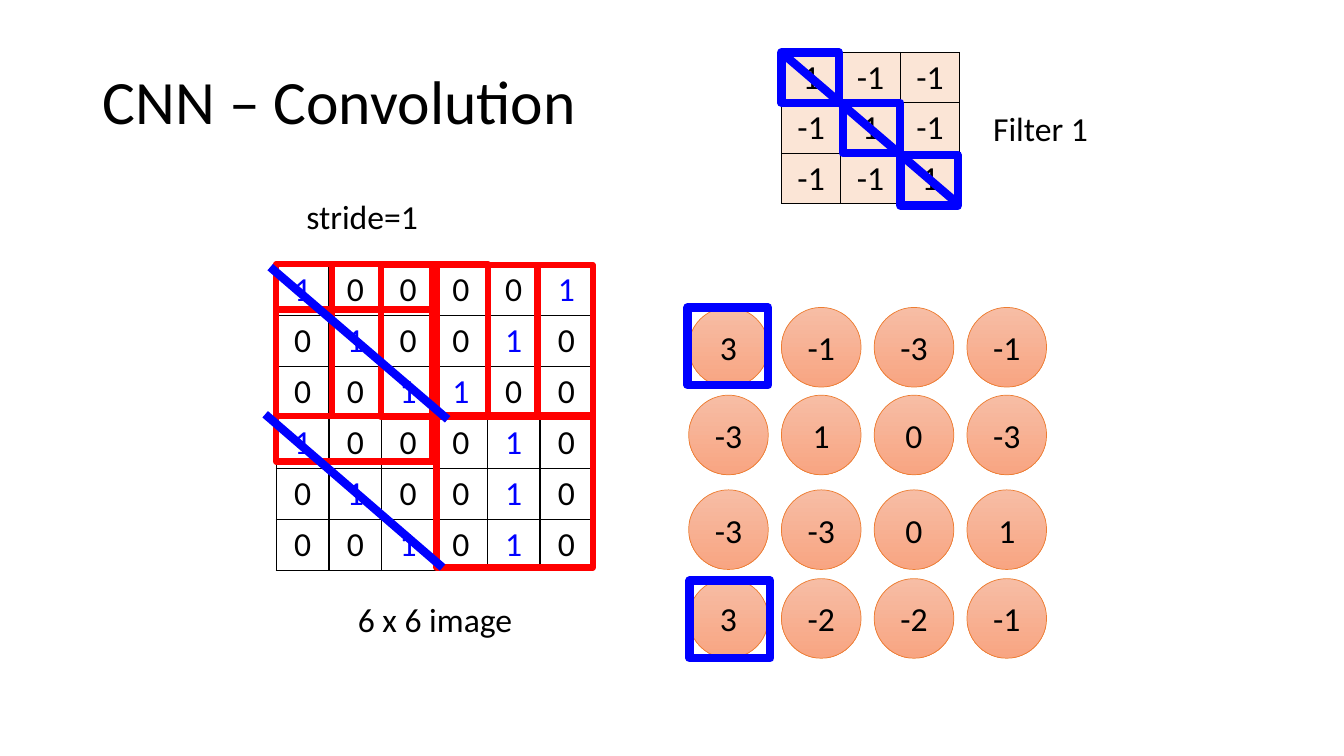
from dataclasses import dataclass

from lxml import etree
from pptx import Presentation
from pptx.dml.color import RGBColor
from pptx.enum.shapes import MSO_CONNECTOR, MSO_SHAPE
from pptx.enum.text import MSO_ANCHOR, MSO_AUTO_SIZE, PP_ALIGN
from pptx.oxml.ns import qn
from pptx.util import Inches, Pt

RECTANGLE, OVAL = MSO_SHAPE.RECTANGLE, MSO_SHAPE.OVAL
STRAIGHT = MSO_CONNECTOR.STRAIGHT
LEFT, CENTER = PP_ALIGN.LEFT, PP_ALIGN.CENTER
MIDDLE = MSO_ANCHOR.MIDDLE
NO_FIT, GROW = MSO_AUTO_SIZE.NONE, MSO_AUTO_SIZE.SHAPE_TO_FIT_TEXT
TITLE_ONLY = 5


@dataclass(frozen=True)
class Theme:
    font: str = "Calibri"
    title_size: float = 44
    body_size: float = 24
    text: str = "000000"
    highlight: str = "0000FF"
    window: str = "FF0000"
    filter_fill: str = "FBE5D6"
    neuron_line: str = "ED7D31"
    neuron_top: str = "F7BDA5"
    neuron_bottom: str = "F8A582"
    window_width: float = 4.5
    highlight_width: float = 6
    neuron_width: float = 0.5
    grid_width: float = 1


IMAGE = [
    [1, 0, 0, 0, 0, 1],
    [0, 1, 0, 0, 1, 0],
    [0, 0, 1, 1, 0, 0],
    [1, 0, 0, 0, 1, 0],
    [0, 1, 0, 0, 1, 0],
    [0, 0, 1, 0, 1, 0],
]
FILTER = [[1, -1, -1], [-1, 1, -1], [-1, -1, 1]]
FEATURE_MAP = [[3, -1, -3, -1], [-3, 1, 0, -3], [-3, -3, 0, 1], [3, -2, -2, -1]]
FEATURE_TOPS = [3.05, 3.92, 4.86, 5.74]
FEATURE_LEFT, FEATURE_STEP, NEURON_SIZE = 6.83, 0.92, 0.79
WINDOW_SIZE = (1.55, 1.51)
WINDOWS = [(2.74, 2.62), (3.29, 2.62), (3.78, 2.63), (4.33, 2.63), (2.74, 3.07), (4.33, 4.12)]
FILTER_MARK_SIZE = (0.57, 0.5)
FILTER_MARKS = [(7.75, 0.52), (8.36, 1.02), (8.93, 1.54)]
RESULT_MARK_SIZE = (0.8, 0.77)
RESULT_MARKS = [(6.82, 3.05), (6.84, 5.76)]
DIAGONALS = [(7.75, 0.52, 9.51, 2.03), (2.68, 2.65, 4.44, 4.16), (2.63, 4.11, 4.39, 5.63)]


def inches(*lengths):
    return [Inches(length) for length in lengths]


class SlideBuilder:
    def __init__(self, slide, theme):
        self.slide = slide
        self.theme = theme

    def add_text(self, frame, text, align=CENTER, size=None, color=None):
        para = frame.paragraphs[0]
        para.alignment = align
        span = para.add_run()
        span.text = text
        span.font.name = self.theme.font
        span.font.size = Pt(size or self.theme.body_size)
        span.font.color.rgb = RGBColor.from_string(color or self.theme.text)
        return para

    def stroke(self, line, color, width):
        line.color.rgb = RGBColor.from_string(color)
        line.width = Pt(width)

    def title(self, text, left, top, width, height):
        box = self.slide.shapes.title
        box.left, box.top, box.width, box.height = inches(left, top, width, height)
        box.text_frame.auto_size = NO_FIT
        box.text_frame.vertical_anchor = MIDDLE
        para = self.add_text(box.text_frame, text, LEFT, self.theme.title_size)
        para.line_spacing = 0.9

    def label(self, text, left, top, width, height, align=CENTER, wrap=True):
        box = self.slide.shapes.add_textbox(*inches(left, top, width, height))
        box.text_frame.word_wrap = wrap
        box.text_frame.auto_size = GROW
        self.add_text(box.text_frame, text, align)

    def cell_borders(self, cell):
        properties = cell._tc.get_or_add_tcPr()
        for position, side in enumerate(("a:lnL", "a:lnR", "a:lnT", "a:lnB")):
            border = etree.Element(qn(side), w=str(Pt(self.theme.grid_width)))
            solid = etree.SubElement(border, qn("a:solidFill"))
            etree.SubElement(solid, qn("a:srgbClr"), val=self.theme.text)
            properties.insert(position, border)

    def matrix(self, values, left, top, width, height, fill=None, one_color=None):
        """Draw a bordered table of numbers, with each 1 in one_color."""
        frame = self.slide.shapes.add_table(
            len(values), len(values[0]), *inches(left, top, width, height))
        table = frame.table
        table.first_row = table.horz_banding = False
        for row in table.rows:
            row.height = Inches(0.41)
        frame.height = Inches(height)
        for row_index, row in enumerate(values):
            for column_index, value in enumerate(row):
                cell = table.cell(row_index, column_index)
                if fill:
                    cell.fill.solid()
                    cell.fill.fore_color.rgb = RGBColor.from_string(fill)
                else:
                    cell.fill.background()
                self.cell_borders(cell)
                color = one_color if value == 1 else None
                self.add_text(cell.text_frame, str(value), color=color)

    def outline(self, left, top, size, color, width):
        box = self.slide.shapes.add_shape(RECTANGLE, *inches(left, top, *size))
        box.shadow.inherit = False
        box.fill.background()
        self.stroke(box.line, color, width)

    def neuron(self, value, left, top):
        circle = self.slide.shapes.add_shape(
            OVAL, *inches(left, top, NEURON_SIZE, NEURON_SIZE))
        circle.shadow.inherit = False
        circle.fill.gradient()
        circle.fill.gradient_angle = 270
        shades = (self.theme.neuron_top, self.theme.neuron_bottom)
        for stop, shade in zip(circle.fill.gradient_stops, shades):
            stop.color.rgb = RGBColor.from_string(shade)
        self.stroke(circle.line, self.theme.neuron_line, self.theme.neuron_width)
        circle.text_frame.vertical_anchor = MIDDLE
        self.add_text(circle.text_frame, str(value))

    def diagonal(self, *ends):
        line = self.slide.shapes.add_connector(STRAIGHT, *inches(*ends))
        self.stroke(line.line, self.theme.highlight, self.theme.highlight_width)
        etree.SubElement(line._element.spPr, qn("a:effectLst"))


def main():
    deck = Presentation()
    deck.slide_width, deck.slide_height = inches(13.33, 7.5)
    theme = Theme()
    page = SlideBuilder(deck.slides.add_slide(deck.slide_layouts[TITLE_ONLY]), theme)

    page.title("CNN – Convolution", 0.92, 0.4, 4.97, 1.27)
    page.matrix(IMAGE, 2.74, 2.62, 3.14, 3, one_color=theme.highlight)
    page.label("6 x 6 image", 3.03, 5.89, 2.57, 0.5)
    page.matrix(FILTER, 7.75, 0.52, 1.77, 1.5, fill=theme.filter_fill)
    page.label("Filter 1", 9.53, 1.02, 1.58, 0.5)
    page.label("stride=1", 2.94, 1.89, 1.32, 0.5, LEFT, wrap=False)

    for top, row in zip(FEATURE_TOPS, FEATURE_MAP):
        for column, value in enumerate(row):
            page.neuron(value, FEATURE_LEFT + column * FEATURE_STEP, top)

    for left, top in WINDOWS:
        page.outline(left, top, WINDOW_SIZE, theme.window, theme.window_width)
    for marks, size in ((FILTER_MARKS, FILTER_MARK_SIZE), (RESULT_MARKS, RESULT_MARK_SIZE)):
        for left, top in marks:
            page.outline(left, top, size, theme.highlight, theme.highlight_width)
    for ends in DIAGONALS:
        page.diagonal(*ends)

    deck.save("out.pptx")


if __name__ == "__main__":
    main()
